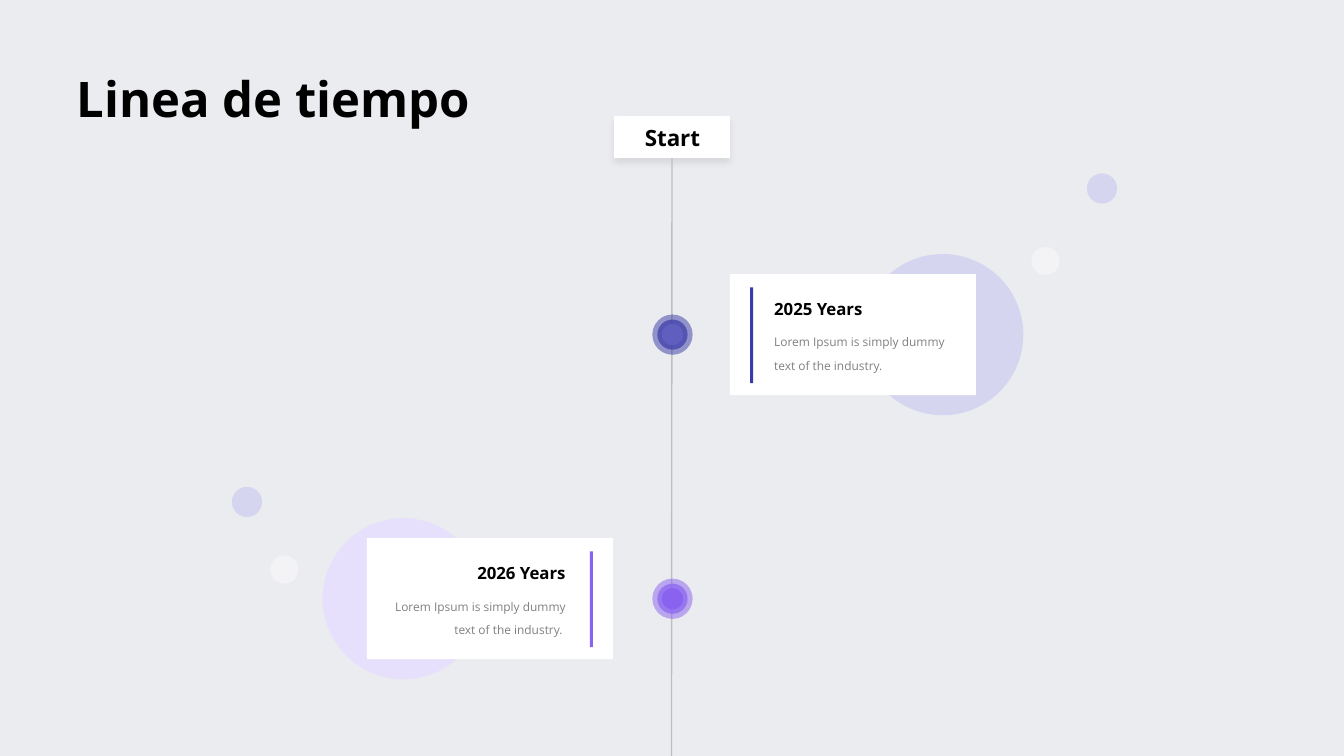
from lxml import etree
from pptx import Presentation
from pptx.dml.color import RGBColor
from pptx.enum import shapes, text
from pptx.oxml import ns
from pptx.util import Inches, Pt

COLORS = {
    "background": "EBECF0", "white": "FFFFFF", "black": "000000",
    "body": "808080", "line": "BFBFBF", "shadow": "232323",
    "indigo": "3A3AA8", "indigo_core": "605FC0", "indigo_pale": "D5D5F0",
    "violet": "8962EF", "violet_pale": "E7E0FC",
}
FONT = "Open Sans"
RECT = shapes.MSO_SHAPE.RECTANGLE
OVAL = shapes.MSO_SHAPE.OVAL
LEFT, CENTER, RIGHT = text.PP_ALIGN.LEFT, text.PP_ALIGN.CENTER, text.PP_ALIGN.RIGHT
AXIS = 6.67


def rgb(name):
    return RGBColor.from_string(COLORS[name])


def add_filled(page, kind, left, top, width, height, color, opacity=100):
    shape = page.shapes.add_shape(
        kind, Inches(left), Inches(top), Inches(width), Inches(height))
    shape.shadow.inherit = False
    shape.fill.solid()
    shape.fill.fore_color.rgb = rgb(color)
    shape.line.fill.background()
    if opacity < 100:
        tint = shape.fill._xPr.find(".//" + ns.qn("a:srgbClr"))
        etree.SubElement(tint, ns.qn("a:alpha"), val=str(opacity * 1000))
    return shape


def add_circle(page, center_x, center_y, size, color, opacity=100):
    return add_filled(page, OVAL, center_x - size / 2, center_y - size / 2,
                      size, size, color, opacity)


def add_soft_shadow(shape):
    effects = shape._element.spPr.find(ns.qn("a:effectLst"))
    shadow = etree.SubElement(
        effects, ns.qn("a:outerShdw"), blurRad=str(Pt(5)), dist=str(Pt(3)),
        dir="5400000", algn="t", rotWithShape="0")
    tint = etree.SubElement(shadow, ns.qn("a:srgbClr"), val=COLORS["shadow"])
    etree.SubElement(tint, ns.qn("a:alpha"), val="10000")


def write(box, wording, size, color="black", bold=True, align=LEFT, wrap=False):
    frame = box.text_frame
    frame.text = wording
    frame.word_wrap = wrap
    frame.auto_size = text.MSO_AUTO_SIZE.SHAPE_TO_FIT_TEXT
    frame.vertical_anchor = text.MSO_ANCHOR.TOP
    para = frame.paragraphs[0]
    para.alignment = align
    para.font.name = FONT
    para.font.size = Pt(size)
    para.font.bold = bold
    para.font.color.rgb = rgb(color)
    return para


def add_text(page, left, top, width, height, wording, size, **style):
    box = page.shapes.add_textbox(
        Inches(left), Inches(top), Inches(width), Inches(height))
    return write(box, wording, size, **style)


def add_title(page, wording):
    title = page.shapes.title
    title.left, title.top = Inches(0.66), Inches(0.63)
    title.width, title.height = Inches(4.14), Inches(0.69)
    write(title, wording, 35)


def add_axis(page):
    """Start label with the timeline running down to the slide's edge."""
    start = add_filled(page, RECT, 6.09, 1.15, 1.15, 0.42, "white")
    add_soft_shadow(start)
    axis = page.shapes.add_connector(
        shapes.MSO_CONNECTOR.STRAIGHT,
        Inches(6.66), Inches(7.5), Inches(AXIS), Inches(1.57))
    axis.end_connect(start, 2)
    axis.line.color.rgb = rgb("line")
    axis.line.width = Pt(1)
    etree.SubElement(axis._element.spPr, ns.qn("a:effectLst"))
    add_text(page, 6.29, 1.18, 0.76, 0.37, "Start", 16, align=CENTER)


def add_node(page, center_y, color, core):
    for size, tint, opacity in ((0.4, color, 50), (0.3, color, 70), (0.21, core, 100)):
        add_circle(page, AXIS, center_y, size, tint, opacity)


def add_card(page, left, center_y, heading, wording, color, pale, align):
    """White card before a pale disc, its bar on the side facing the axis."""
    on_right = align == LEFT
    disc_x = left + (2.11 if on_right else 0.36)
    bar_x = left + (0.2 if on_right else 2.21)
    text_x = left + (0.34 if on_right else 0.14)
    heading_x = text_x if on_right else text_x + 0.83
    add_circle(page, disc_x, center_y, 1.6, pale)
    add_filled(page, RECT, left, center_y - 0.6, 2.44, 1.2, "white")
    add_filled(page, RECT, bar_x, center_y - 0.47, 0.03, 0.95, color)
    add_text(page, heading_x, center_y - 0.41, 1.1, 0.3, heading, 12, align=align)
    para = add_text(page, text_x, center_y - 0.14, 1.93, 0.55, wording, 8.5,
                    color="body", bold=False, align=align, wrap=True)
    para.line_spacing = Pt(17)


def main():
    deck = Presentation()
    deck.slide_width, deck.slide_height = Inches(13.33), Inches(7.5)
    page = deck.slides.add_slide(deck.slide_layouts[5])
    page.background.fill.solid()
    page.background.fill.fore_color.rgb = rgb("background")

    add_title(page, "Linea de tiempo")
    add_axis(page)
    lorem = "Lorem Ipsum is simply dummy text of the industry."
    add_card(page, 7.24, 3.32, "2025 Years", lorem, "indigo", "indigo_pale", LEFT)
    add_card(page, 3.64, 5.94, "2026 Years", lorem + " ", "violet", "violet_pale", RIGHT)
    add_node(page, 3.32, "indigo", "indigo_core")
    add_node(page, 5.94, "violet", "violet")
    for center_x, center_y in ((10.93, 1.87), (2.45, 4.98)):
        add_circle(page, center_x, center_y, 0.3, "indigo_pale")
    for center_x, center_y in ((10.37, 2.59), (2.82, 5.65)):
        add_circle(page, center_x, center_y, 0.28, "white", 40)
    deck.save("out.pptx")


if __name__ == "__main__":
    main()
